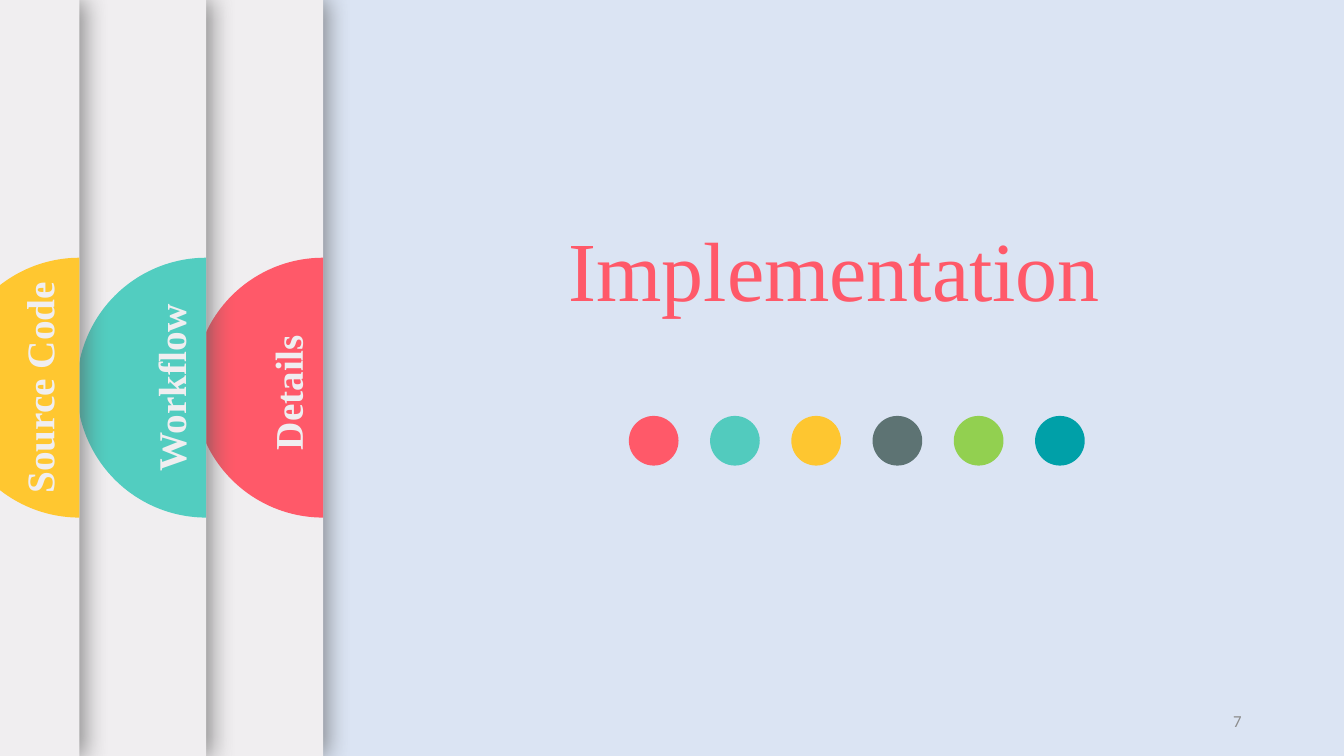
from lxml.etree import SubElement
from pptx import Presentation
from pptx.dml.color import RGBColor
from pptx.enum.shapes import MSO_SHAPE as Preset
from pptx.enum.text import MSO_ANCHOR as Anchor, MSO_AUTO_SIZE as AutoSize, PP_ALIGN as Align
from pptx.oxml.ns import qn
from pptx.util import Pt

SLIDE_HEIGHT = 540
TAB_WIDTH = 92.4
TAB_HEIGHT = 185.6
TAB_CENTRE_Y = 276.9
LABEL_HEIGHT = 41
DOT_SIZE = 35.5
DOT_PITCH = 58.03


def paint(shape, color):
    """Give a shape a plain fill with no outline and no shadow."""
    shape.fill.solid()
    shape.fill.fore_color.rgb = RGBColor.from_string(color)
    shape.line.fill.background()
    shape.shadow.inherit = False


def write(shape, text, font_name, size, color, align, bold=False):
    frame = shape.text_frame
    frame.word_wrap = True
    frame.auto_size = AutoSize.NONE
    frame.vertical_anchor = Anchor.MIDDLE
    paragraph = frame.paragraphs[0]
    paragraph.text = text
    paragraph.alignment = align
    font = paragraph.font
    font.name, font.size, font.bold = font_name, Pt(size), bold
    font.color.rgb = RGBColor.from_string(color)


deck = Presentation()
deck.slide_width, deck.slide_height = Pt(960), Pt(SLIDE_HEIGHT)
slide = deck.slides.add_slide(deck.slide_layouts[5])
slide.background.fill.solid()
slide.background.fill.fore_color.rgb = RGBColor.from_string("DBE4F3")

title = slide.shapes.title
title.left, title.top, title.width, title.height = Pt(309.6), Pt(151.4), Pt(573.1), Pt(80)
write(title, "Implementation", "Times New Roman", 60, "FF5969", Align.CENTER)

dots = slide.shapes.add_group_shape()
for i, color in enumerate(["FF5969", "52CBBE", "FEC630", "5D7373", "92D050", "00A0A8"]):
    dot = dots.shapes.add_shape(Preset.OVAL, Pt(449.2 + i * DOT_PITCH), Pt(297.1),
                                Pt(DOT_SIZE), Pt(DOT_SIZE))
    paint(dot, color)

# Label, tab colour, panel left, panel right, label centre, label length
drawers = [
    ("Details ", "FF5969", -751.7, 230.8, 205.2, 157),
    ("Workflow", "52CDC0", -753.8, 147.3, 121.7, 172.8),
    ("Source Code", "FFC730", -727.2, 56.8, 27.7, 202.3),
]
for label_text, color, left, right, label_x, label_length in drawers:
    drawer = slide.shapes.add_group_shape().shapes

    panel = drawer.add_shape(Preset.RECTANGLE, Pt(left), 0, Pt(right - left), Pt(SLIDE_HEIGHT))
    paint(panel, "F0EEF0")
    effects = panel._element.spPr.find(qn("a:effectLst"))
    shadow = SubElement(effects, qn("a:outerShdw"), blurRad=str(Pt(17)), dist=str(Pt(3)),
                        dir="0", algn="l", rotWithShape="0")
    shadow_color = SubElement(shadow, qn("a:srgbClr"), val="595959")
    SubElement(shadow_color, qn("a:alpha"), val="65000")

    # A bracket with its curves at full size is a half circle
    tab = drawer.add_shape(Preset.LEFT_BRACKET, Pt(right - TAB_WIDTH),
                           Pt(TAB_CENTRE_Y - TAB_HEIGHT / 2), Pt(TAB_WIDTH), Pt(TAB_HEIGHT))
    tab.adjustments[0] = TAB_HEIGHT / TAB_WIDTH / 2
    paint(tab, color)

    label = drawer.add_textbox(Pt(label_x - label_length / 2), Pt(TAB_CENTRE_Y - LABEL_HEIGHT / 2),
                               Pt(label_length), Pt(LABEL_HEIGHT))
    label.rotation = 270
    write(label, label_text, "Times New Roman", 28, "F0EEF0", Align.CENTER, bold=True)

page_number = slide.shapes.add_textbox(Pt(678), Pt(500.5), Pt(216), Pt(28.8))
write(page_number, "7", "Calibri", 12, "8C8C8C", Align.RIGHT)

deck.save("out.pptx")
